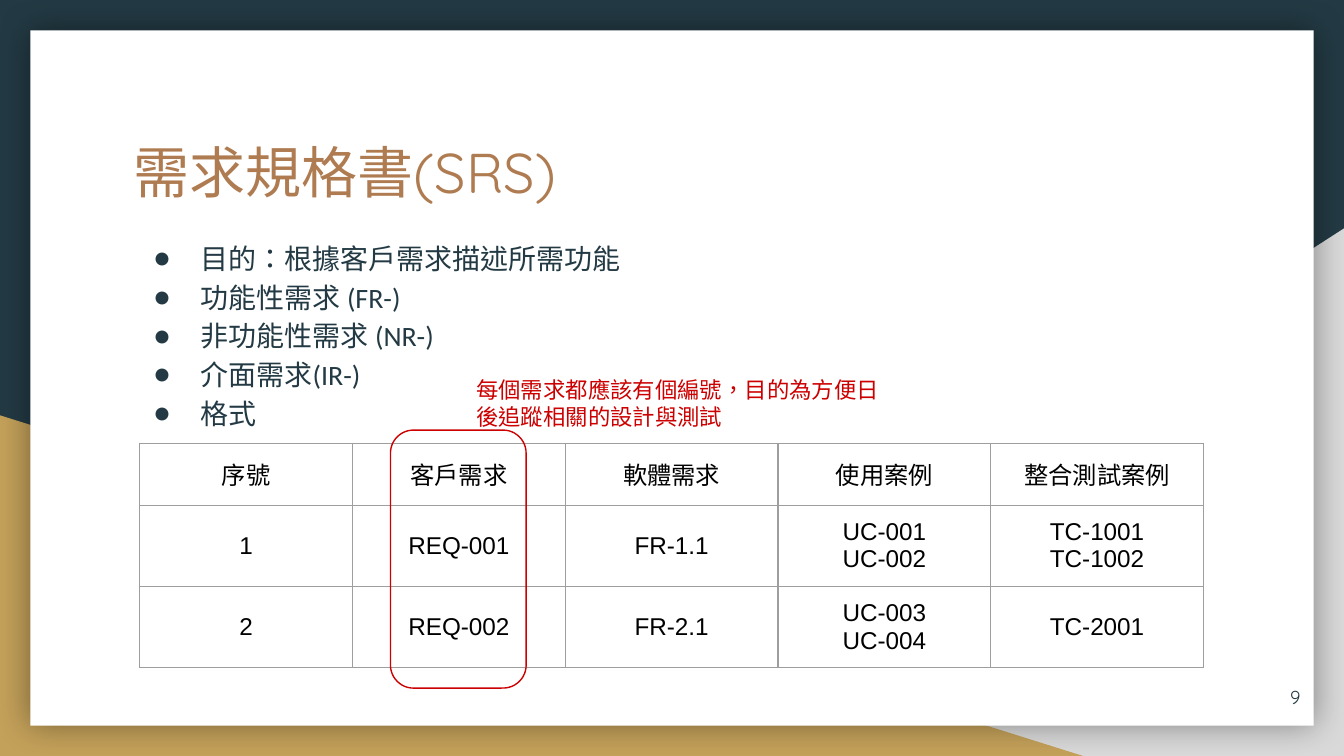
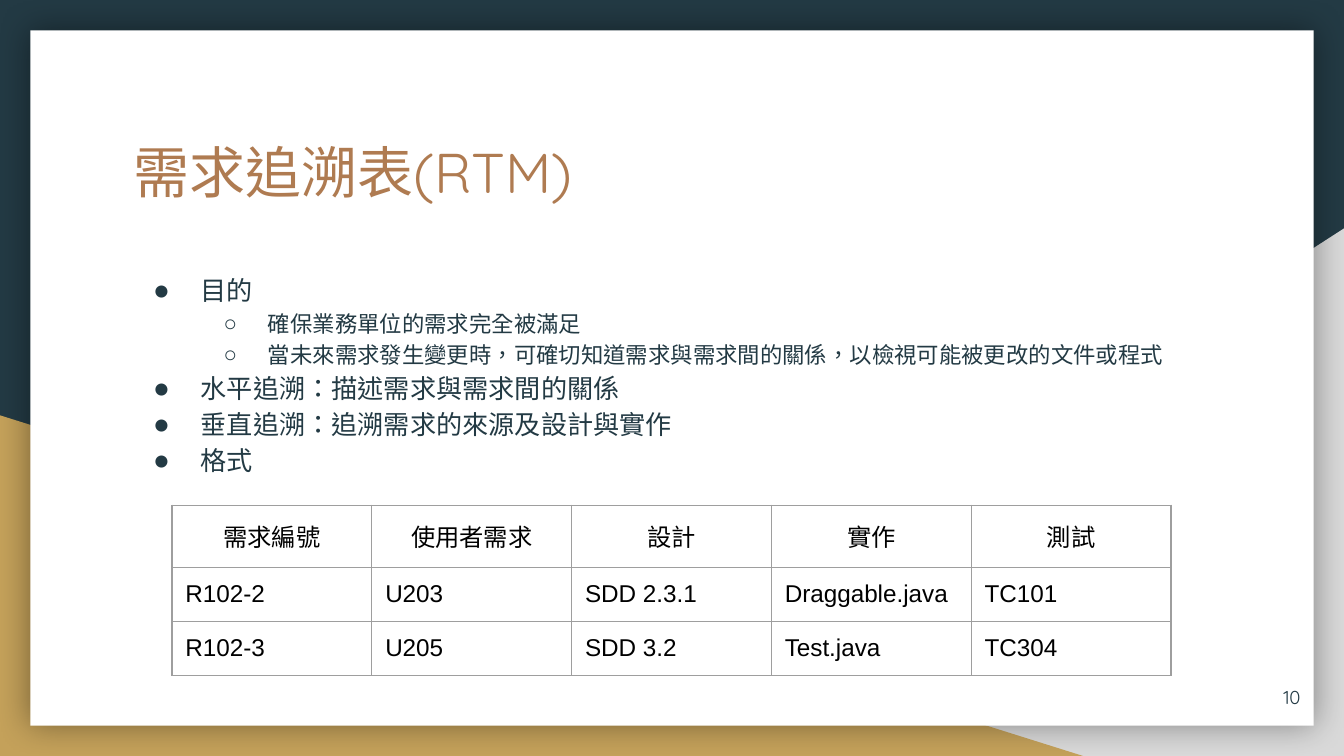
from dataclasses import dataclass

from lxml.etree import SubElement
from pptx import Presentation
from pptx.dml.color import RGBColor as RGB
from pptx.enum.shapes import MSO_SHAPE as SHAPE
from pptx.enum.text import MSO_ANCHOR as ANCHOR, MSO_AUTO_SIZE as FIT, PP_ALIGN as ALIGN
from pptx.oxml.ns import qn
from pptx.util import Emu, Pt

EMU_PER_PX = 4572  # 200 px to the inch


def px(n: int) -> Emu:
    return Emu(n * EMU_PER_PX)


@dataclass(frozen=True)
class Style:
    size: int
    font: str
    color: str
    east_asian: bool = True


@dataclass(frozen=True)
class Theme:
    navy: str = "233A44"
    gold: str = "C4A15A"
    grey: str = "D9D9D9"
    white: str = "FFFFFF"
    red: str = "CC0000"
    border: str = "9E9E9E"
    inset: int = 20
    line: float = 0.75
    leading: float = 1.15
    title: Style = Style(30, "Quicksand", "AF7B51")
    body: Style = Style(15, "Calibri", navy)
    body_small: Style = Style(14, "Calibri", navy)
    sub: Style = Style(12, "Calibri", navy)
    note: Style = Style(12, "Calibri", red)
    cell: Style = Style(13, "Arial", "000000", east_asian=False)
    number: Style = Style(10, "Quicksand", navy)


T = Theme()


@dataclass(frozen=True)
class Box:
    x: int
    y: int
    w: int
    h: int

    def emu(self) -> tuple[Emu, ...]:
        return tuple(px(n) for n in (self.x, self.y, self.w, self.h))


@dataclass(frozen=True)
class Panel:
    shape: SHAPE
    box: Box
    color: str
    flip: bool = False
    glow: bool = False


@dataclass(frozen=True)
class Mark:
    char: str
    font: str
    left: int
    indent: int


@dataclass(frozen=True)
class Bullet:
    text: str
    style: Style
    level: int = 0


@dataclass(frozen=True)
class Grid:
    x: int
    y: int
    w: int
    row_h: int
    rows: list[list[str]]
    anchor: ANCHOR
    body_align: ALIGN


W, H = 2000, 1125
TITLE_BOX = Box(179, 184, 1642, 208)
NUMBER_BOX = Box(1835, 994, 120, 86)
BACKDROP = [
    Panel(SHAPE.RIGHT_TRIANGLE, Box(784, 340, 1216, 785), T.grey, flip=True),
    Panel(SHAPE.RIGHT_TRIANGLE, Box(0, 618, 1612, 507), T.gold),
    Panel(SHAPE.RECTANGLE, Box(45, 45, 1910, 1035), T.white, glow=True),
]
MARKS = [Mark("●", "Calibri", 100, -70), Mark("○", "Arial", 200, -66)]


def apply(obj, values: dict) -> None:
    for name, value in values.items():
        setattr(obj, name, value)


def sub(parent, tag: str, **attrs):
    return SubElement(parent, qn(tag), {k: str(v) for k, v in attrs.items()})


# Text
def write(p, text: str, style: Style, align: ALIGN = ALIGN.LEFT) -> None:
    r = p.add_run()
    r.text = text
    apply(r.font, {"size": Pt(style.size), "name": style.font})
    r.font.color.rgb = RGB.from_string(style.color)
    apply(p, {"alignment": align, "space_before": Pt(0), "space_after": Pt(0)})
    rPr = r._r.get_or_add_rPr()
    rPr.set("lang", "zh-TW")
    if style.east_asian:
        sub(rPr, "a:ea", typeface=style.font)


def margins() -> dict:
    return {f"margin_{side}": px(T.inset) for side in ("left", "top", "right", "bottom")}


def frame(tf, anchor: ANCHOR = ANCHOR.TOP, fit: FIT = FIT.NONE) -> None:
    apply(tf, margins() | {"word_wrap": True, "auto_size": fit, "vertical_anchor": anchor})


def paragraphs(tf, count: int) -> list:
    return [tf.paragraphs[0]] + [tf.add_paragraph() for _ in range(count - 1)]


def add_text(slide, box: Box, text: str, style: Style, align: ALIGN = ALIGN.LEFT,
             anchor: ANCHOR = ANCHOR.TOP, fit: FIT = FIT.NONE) -> None:
    tf = slide.shapes.add_textbox(*box.emu()).text_frame
    frame(tf, anchor, fit)
    write(tf.paragraphs[0], text, style, align)


def add_bullets(slide, box: Box, bullets: list[Bullet]) -> None:
    tf = slide.shapes.add_textbox(*box.emu()).text_frame
    frame(tf)
    for p, b in zip(paragraphs(tf, len(bullets)), bullets):
        mark = MARKS[b.level]
        p.level = b.level
        pPr = p._p.get_or_add_pPr()
        pPr.set("marL", str(px(mark.left)))
        pPr.set("indent", str(px(mark.indent)))
        sub(sub(pPr, "a:buClr"), "a:srgbClr", val=T.navy)
        sub(pPr, "a:buFont", typeface=mark.font)
        sub(pPr, "a:buChar", char=mark.char)
        write(p, b.text, b.style)
        p.line_spacing = T.leading


# Shapes
def add_panel(slide, panel: Panel):
    sp = slide.shapes.add_shape(panel.shape, *panel.box.emu())
    sp.shadow.inherit = False
    sp.fill.solid()
    sp.fill.fore_color.rgb = RGB.from_string(panel.color)
    sp.line.fill.background()
    spPr = sp.element.spPr
    if panel.flip:
        spPr.find(qn("a:xfrm")).set("flipH", "1")
    if panel.glow:
        shadow = sub(spPr.find(qn("a:effectLst")), "a:outerShdw", blurRad=Pt(18), dist=0,
                     dir=0, algn="ctr", rotWithShape=0)
        sub(sub(shadow, "a:srgbClr", val="000000"), "a:alpha", val=40000)
    return sp


def add_highlight(slide, box: Box) -> None:
    sp = slide.shapes.add_shape(SHAPE.ROUNDED_RECTANGLE, *box.emu())
    sp.shadow.inherit = False
    sp.adjustments[0] = 0.17
    sp.fill.background()
    sp.line.color.rgb = RGB.from_string(T.red)
    sp.line.width = Pt(T.line)


# Tables
def add_borders(cell) -> None:
    tcPr = cell._tc.get_or_add_tcPr()
    for i, tag in enumerate(("a:lnL", "a:lnR", "a:lnT", "a:lnB")):
        ln = sub(tcPr, tag, w=Pt(T.line))
        sub(sub(ln, "a:solidFill"), "a:srgbClr", val=T.border)
        tcPr.insert(i, ln)


def add_grid(slide, grid: Grid) -> None:
    rows, cols = len(grid.rows), len(grid.rows[0])
    box = Box(grid.x, grid.y, grid.w, grid.row_h * rows)
    table = slide.shapes.add_table(rows, cols, *box.emu()).table
    apply(table, {"first_row": False, "horz_banding": False})
    for i, row in enumerate(grid.rows):
        align = grid.body_align if i else ALIGN.CENTER
        for j, text in enumerate(row):
            cell = table.cell(i, j)
            cell.fill.background()
            add_borders(cell)
            apply(cell, margins() | {"vertical_anchor": grid.anchor})
            lines = text.split("\n")
            for p, line in zip(paragraphs(cell.text_frame, len(lines)), lines):
                write(p, line, T.cell, align)


# Shared slide parts
def add_slide(prs, title: str, number: int):
    slide = prs.slides.add_slide(prs.slide_layouts[5])
    ph = slide.shapes.title
    apply(ph, dict(zip(("left", "top", "width", "height"), TITLE_BOX.emu())))
    frame(ph.text_frame)
    write(ph.text_frame.paragraphs[0], title, T.title)
    add_text(slide, NUMBER_BOX, str(number), T.number, ALIGN.RIGHT, ANCHOR.MIDDLE)
    return slide


def set_backdrop(prs, slide) -> None:
    """Put the background and its panels on the master, behind every slide."""
    master = prs.slide_master
    fill = master.background.fill
    fill.solid()
    fill.fore_color.rgb = RGB.from_string(T.navy)
    for i, panel in enumerate(BACKDROP):
        master.shapes.element.insert(2 + i, add_panel(slide, panel).element)


# Slides
def srs_slide(prs):
    slide = add_slide(prs, "需求規格書(SRS)", 9)
    items = ["目的：根據客戶需求描述所需功能", "功能性需求 (FR-)", "非功能性需求 (NR-)",
             "介面需求(IR-)", "格式"]
    add_bullets(slide, Box(179, 332, 1642, 536), [Bullet(t, T.body) for t in items])
    add_grid(slide, Grid(208, 660, 1583, 84, [
        ["序號", "客戶需求", "軟體需求", "使用案例", "整合測試案例"],
        ["1", "REQ-001", "FR-1.1", "UC-001\nUC-002", "TC-1001\nTC-1002"],
        ["2", "REQ-002", "FR-2.1", "UC-003\nUC-004", "TC-2001"],
    ], ANCHOR.MIDDLE, ALIGN.CENTER))
    add_highlight(slide, Box(581, 640, 202, 384))
    add_text(slide, Box(689, 540, 666, 122),
             "每個需求都應該有個編號，目的為方便日後追蹤相關的設計與測試",
             T.note, fit=FIT.SHAPE_TO_FIT_TEXT)
    return slide


def rtm_slide(prs):
    slide = add_slide(prs, "需求追溯表(RTM)", 10)
    add_bullets(slide, Box(179, 382, 1642, 548), [
        Bullet("目的", T.body_small),
        Bullet("確保業務單位的需求完全被滿足", T.sub, 1),
        Bullet("當未來需求發生變更時，可確切知道需求與需求間的關係，以檢視可能被更改的文件或程式",
               T.sub, 1),
        Bullet("水平追溯：描述需求與需求間的關係", T.body_small),
        Bullet("垂直追溯：追溯需求的來源及設計與實作", T.body_small),
        Bullet("格式", T.body_small),
    ])
    add_grid(slide, Grid(256, 752, 1487, 70, [
        ["需求編號", "使用者需求", "設計", "實作", "測試"],
        ["R102-2", "U203", "SDD 2.3.1", "Draggable.java", "TC101"],
        ["R102-3", "U205", "SDD 3.2", "Test.java", "TC304"],
    ], ANCHOR.TOP, ALIGN.LEFT))
    return slide


def main() -> None:
    prs = Presentation()
    apply(prs, {"slide_width": px(W), "slide_height": px(H)})
    set_backdrop(prs, srs_slide(prs))
    rtm_slide(prs)
    prs.save("out.pptx")


if __name__ == "__main__":
    main()
